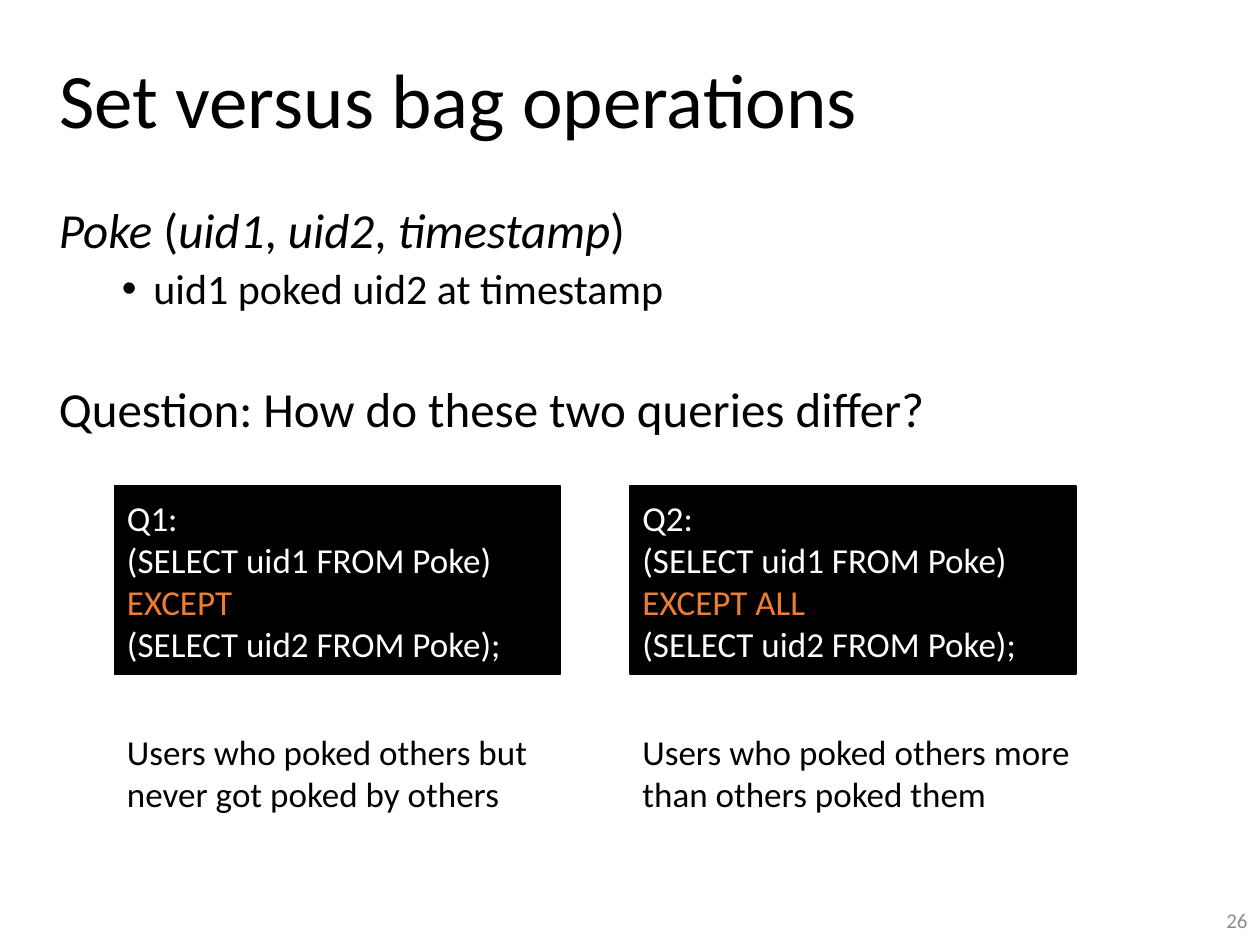
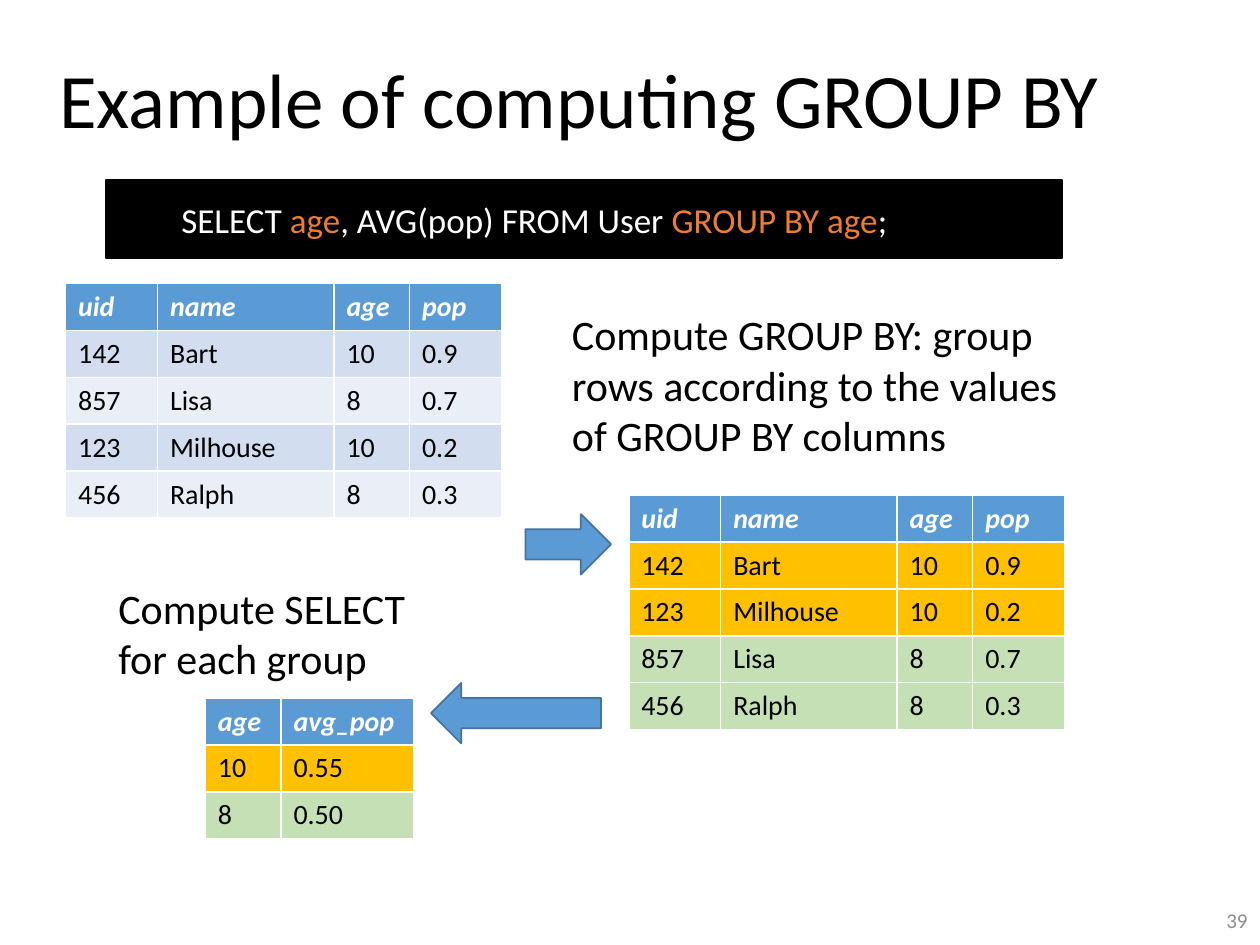
from dataclasses import dataclass
from typing import NamedTuple, Optional, Sequence

from lxml import etree
from pptx import Presentation
from pptx import util as u
from pptx.dml.color import RGBColor
from pptx.enum import shapes, text
from pptx.oxml.ns import qn

UNIT = 0.1  # grid module in inches: 100 columns by 75 rows
COLS, ROWS = 100, 75


@dataclass(frozen=True)
class Theme:
    font: str = "Calibri"
    ink: str = "000000"
    paper: str = "FFFFFF"
    accent: str = "ED7D31"
    muted: str = "8C8C8C"
    blue: str = "5B9BD5"
    blue_edge: str = "43739E"
    band_dark: str = "D2DEEF"
    band_light: str = "EAEFF7"
    group_a: str = "FFC000"
    group_b: str = "C5E0B4"
    title: int = 44
    lead: int = 28
    body: int = 24
    code: int = 20
    cell: int = 16
    number: int = 12


T = Theme()


class Box(NamedTuple):
    """Left, top, width and height in grid modules."""
    col: float
    row: float
    cols: float
    rows: float

    def emu(self) -> list:
        return [grid(n) for n in self]


class Span(NamedTuple):
    text: str
    color: Optional[str] = None
    italic: bool = False


@dataclass(frozen=True)
class Para:
    spans: Sequence[Span]
    size: int = T.code
    color: str = T.ink
    align: text.PP_ALIGN = text.PP_ALIGN.LEFT
    leading: float = 1.0
    before: float = 0
    indent: float = 0
    hanging: float = 0
    bullet: str = ""


class Grid(NamedTuple):
    """A table: its place, column widths, texts (header first) and row fills."""
    col: float
    row: float
    widths: Sequence[float]
    cells: Sequence[Sequence[str]]
    fills: Sequence[str]


class Arrow(NamedTuple):
    kind: shapes.MSO_SHAPE
    box: Box


class Query(NamedTuple):
    col: float
    name: str
    operator: str
    meaning: str
    meaning_cols: float


def grid(n: float) -> u.Emu:
    return u.Inches(round(n * UNIT, 4))


def rgb(color: str) -> RGBColor:
    return RGBColor.from_string(color)


def line(content: str, **style) -> Para:
    return Para([Span(content)], **style)


def style_run(r, size: int, color: str, bold: bool = False, italic: bool = False) -> None:
    r.font.name, r.font.size = T.font, u.Pt(size)
    r.font.bold, r.font.italic = bold, italic
    r.font.color.rgb = rgb(color)


def write(tf, paras: Sequence[Para], anchor=text.MSO_ANCHOR.TOP) -> None:
    tf.word_wrap = True
    tf.auto_size = text.MSO_AUTO_SIZE.NONE
    tf.vertical_anchor = anchor
    for i, para in enumerate(paras):
        p = tf.add_paragraph() if i else tf.paragraphs[0]
        p.alignment = para.align
        p.line_spacing = para.leading
        p.space_before = u.Pt(para.before)
        if para.indent:
            pPr = p._p.get_or_add_pPr()
            pPr.set("marL", str(grid(para.indent)))
            pPr.set("indent", str(-grid(para.hanging)))
            if para.bullet:
                etree.SubElement(pPr, qn("a:buFont")).set("typeface", "Arial")
                etree.SubElement(pPr, qn("a:buChar")).set("char", para.bullet)
        for span in para.spans:
            r = p.add_run()
            r.text = span.text
            style_run(r, para.size, span.color or para.color, italic=span.italic)


def add_text(slide, box: Box, paras: Sequence[Para], anchor=text.MSO_ANCHOR.TOP) -> None:
    write(slide.shapes.add_textbox(*box.emu()).text_frame, paras, anchor)


def add_filled(slide, kind, box: Box, fill: str, edge: str):
    sp = slide.shapes.add_shape(kind, *box.emu())
    sp.shadow.inherit = False
    sp.fill.solid()
    sp.fill.fore_color.rgb = rgb(fill)
    sp.line.color.rgb = rgb(edge)
    sp.line.width = u.Pt(1)
    return sp


def add_code(slide, box: Box, paras: Sequence[Para]) -> None:
    sp = add_filled(slide, shapes.MSO_SHAPE.RECTANGLE, box, T.ink, T.ink)
    write(sp.text_frame, paras, text.MSO_ANCHOR.MIDDLE)


def add_grid(slide, spec: Grid) -> None:
    row_height = 3.7
    box = Box(spec.col, spec.row, sum(spec.widths), row_height * len(spec.cells))
    table = slide.shapes.add_table(len(spec.cells), len(spec.widths), *box.emu()).table
    for column, width in zip(table.columns, spec.widths):
        column.width = grid(width)
    for i, (values, fill) in enumerate(zip(spec.cells, (T.blue, *spec.fills))):
        header = i == 0
        for j, value in enumerate(values):
            cell = table.cell(i, j)
            cell.fill.solid()
            cell.fill.fore_color.rgb = rgb(fill)
            p = cell.text_frame.paragraphs[0]
            p.text = value
            style_run(p.runs[0], T.cell, T.paper if header else T.ink, header, header)


def add_slide(prs, title: str, number: int):
    slide = prs.slides.add_slide(prs.slide_layouts[5])
    sp = slide.shapes.title
    sp.left, sp.top, sp.width, sp.height = Box(3.7, 1.8, 96.3, 12.9).emu()
    write(sp.text_frame, [line(title, size=T.title, leading=0.9)], text.MSO_ANCHOR.MIDDLE)
    page = line(str(number), size=T.number, color=T.muted, align=text.PP_ALIGN.RIGHT)
    add_text(slide, Box(77.5, 71, 22.5, 4), [page], text.MSO_ANCHOR.MIDDLE)
    return slide


def build_set_versus_bag(prs) -> None:
    slide = add_slide(prs, "Set versus bag operations", 26)
    schema = [Span("Poke", italic=True), Span(" ("), Span("uid1", italic=True), Span(", "),
              Span("uid2", italic=True), Span(", "), Span("timestamp", italic=True), Span(")")]
    add_text(slide, Box(3.7, 15.9, 89.4, 57.6), [
        Para(schema, size=T.lead, leading=0.9, before=10),
        line("uid1 poked uid2 at timestamp", size=T.body, leading=0.9, before=5,
             indent=7.5, hanging=2.5, bullet="•"),
        line("Question: How do these two queries differ?", size=T.lead, leading=0.9, before=41),
    ])
    queries = [
        Query(9.1, "Q1:", "EXCEPT",
              "Users who poked others but never got poked by others", 35.4),
        Query(50, "Q2:", "EXCEPT ALL",
              "Users who poked others more than others poked them", 37.5),
    ]
    for q in queries:
        add_code(slide, Box(q.col, 38.6, 35.4, 14.9), [
            line(q.name, color=T.paper),
            line("(SELECT uid1 FROM Poke)", color=T.paper),
            line(q.operator, color=T.accent),
            line("(SELECT uid2 FROM Poke);", color=T.paper),
        ])
        add_text(slide, Box(q.col, 57.5, q.meaning_cols, 7.7), [line(q.meaning)])


def build_group_by(prs) -> None:
    slide = add_slide(prs, "Example of computing GROUP BY", 39)
    header = ("uid", "name", "age", "pop")
    users = [("142", "Bart", "10", "0.9"), ("857", "Lisa", "8", "0.7"),
             ("123", "Milhouse", "10", "0.2"), ("456", "Ralph", "8", "0.3")]
    grouped = sorted(users, key=lambda user: -int(user[2]))
    group_fill = {"10": T.group_a, "8": T.group_b}
    averages = [("10", "0.55"), ("8", "0.50")]
    user_widths = (7.3, 14, 6, 7.3)

    for spec in (
        Grid(5.2, 22.5, user_widths, [header, *users], [T.band_dark, T.band_light] * 2),
        Grid(49.9, 39.3, user_widths, [header, *grouped],
             [group_fill[user[2]] for user in grouped]),
        Grid(16.3, 55.4, (6, 10.5), [("age", "avg_pop"), *averages],
             [group_fill[age] for age, _ in averages]),
    ):
        add_grid(slide, spec)

    add_text(slide, Box(44.4, 24, 43.8, 13.1), [line(
        "Compute GROUP BY: group rows according to the values of GROUP BY columns",
        size=T.body)])
    add_text(slide, Box(8.4, 45.7, 28.8, 9.1), [
        line(step, size=T.body) for step in ("Compute SELECT", "for each group")])

    for arrow in (Arrow(shapes.MSO_SHAPE.RIGHT_ARROW, Box(41.7, 40.8, 6.8, 4.8)),
                  Arrow(shapes.MSO_SHAPE.LEFT_ARROW, Box(34.2, 54.2, 13.5, 4.8))):
        add_filled(slide, arrow.kind, arrow.box, T.blue, T.blue_edge)

    query = [Span("SELECT "), Span("age", T.accent), Span(", AVG(pop) FROM User "),
             Span("GROUP BY age", T.accent), Span(";")]
    add_code(slide, Box(8.4, 14.3, 75.9, 6.2), [Para(query, color=T.paper, indent=5)])


def main() -> None:
    prs = Presentation()
    prs.slide_width, prs.slide_height = grid(COLS), grid(ROWS)
    build_set_versus_bag(prs)
    build_group_by(prs)
    prs.save("out.pptx")


if __name__ == "__main__":
    main()
